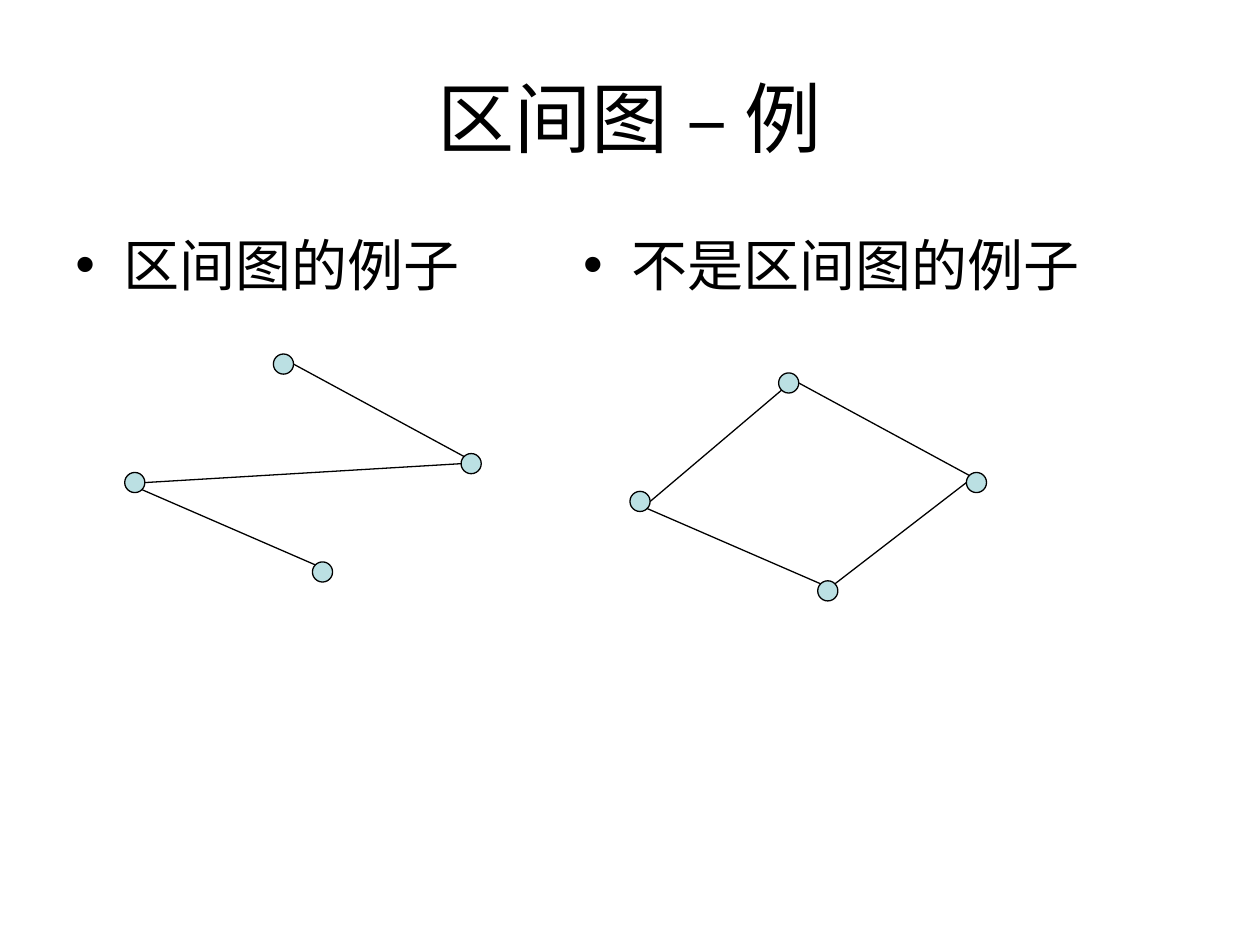
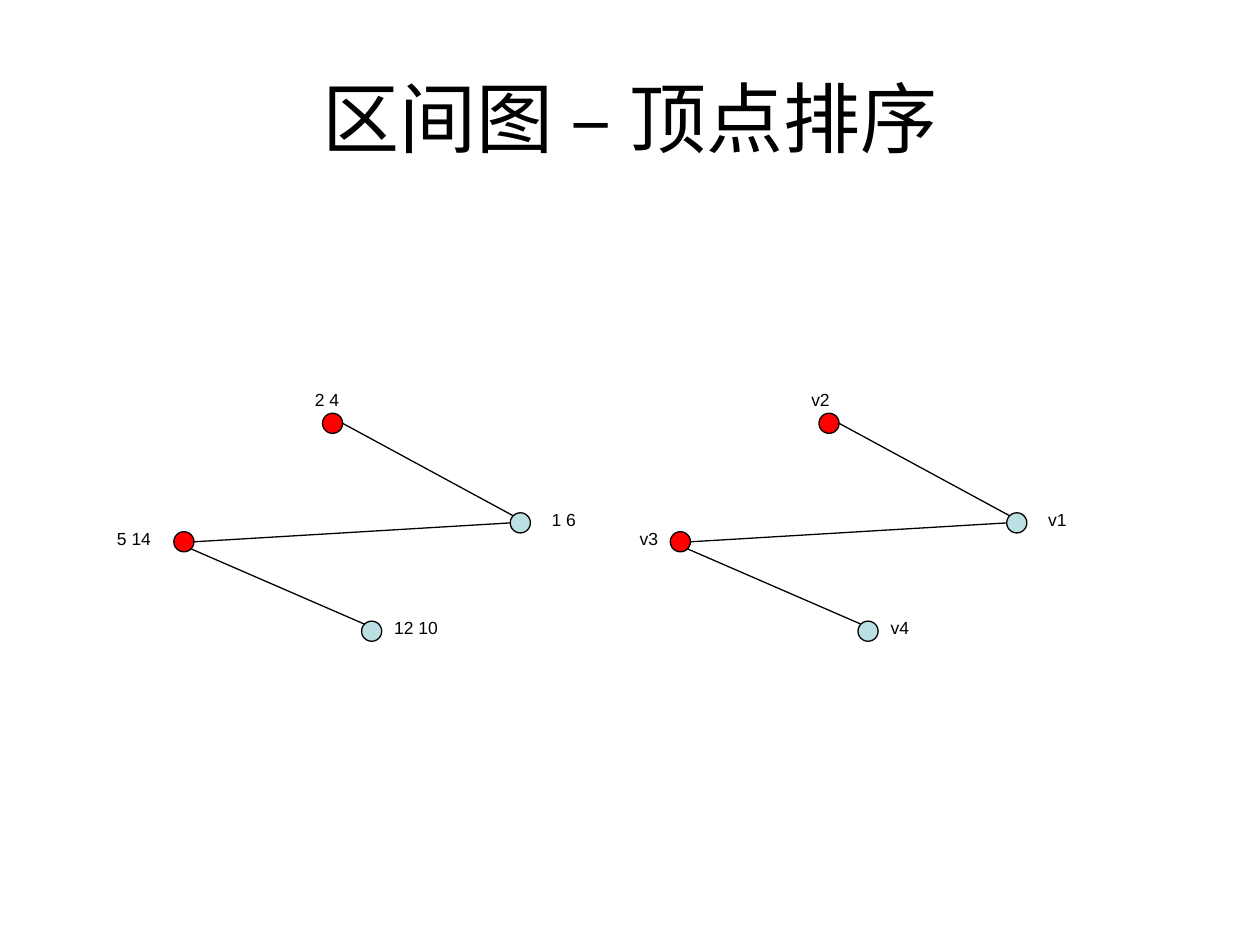
from lxml.etree import SubElement
from pptx import Presentation
from pptx.dml.color import RGBColor
from pptx.enum.shapes import MSO_CONNECTOR, MSO_SHAPE
from pptx.enum.text import MSO_ANCHOR, MSO_AUTO_SIZE, PP_ALIGN
from pptx.oxml.ns import qn
from pptx.util import Inches, Pt

COLORS = {"ink": "000000", "node": "BBE0E3", "marked": "FF0000"}
FONT = "Arial"
NODE = 0.16

NODES = {"top": (0, 0), "left": (-1.18, 0.94), "right": (1.49, 0.79), "bottom": (0.31, 1.65)}
SITES = {"e": (1, 0.5), "w": (0, 0.5), "nw": (0.15, 0.15), "ne": (0.85, 0.15),
         "sw": (0.15, 0.85), "se": (0.85, 0.85)}
SIDES = [("top", "e", "right", "nw"), ("left", "se", "bottom", "nw")]
PATH = SIDES + [("left", "e", "right", "w")]
CYCLE = SIDES + [("top", "sw", "left", "e"), ("right", "w", "bottom", "ne")]

LABEL_BOXES = {"top": (-0.16, -0.24, 0.39), "right": (0.23, -0.08, 0.39),
               "left": (-0.55, -0.08, 0.55), "bottom": (0.16, -0.08, 0.6)}
INTERVALS = {"top": ("2 4", PP_ALIGN.LEFT), "right": ("1 6", PP_ALIGN.LEFT),
             "left": ("5 14", PP_ALIGN.LEFT), "bottom": ("12 10", PP_ALIGN.LEFT)}
ORDER = {"top": ("v2", PP_ALIGN.LEFT), "right": ("v1", PP_ALIGN.LEFT),
         "left": ("v3", PP_ALIGN.RIGHT), "bottom": ("v4", PP_ALIGN.LEFT)}
MARKED = ("top", "left")

SLIDES = [
    {"title": "区间图 – 例",
     "bullets": [("区间图的例子", (0.5, 1.78, 4.11, 4.92)),
                 ("不是区间图的例子", (4.53, 1.78, 4.42, 4.92))],
     "graphs": [{"origin": (2.17, 2.81), "edges": PATH},
                {"origin": (6.18, 2.96), "edges": CYCLE}]},
    {"title": "区间图 – 顶点排序",
     "bullets": [],
     "graphs": [{"origin": (2.56, 3.28), "edges": PATH, "labels": INTERVALS, "marked": MARKED},
                {"origin": (6.5, 3.28), "edges": PATH, "labels": ORDER, "marked": MARKED}]},
]


def color(name):
    return RGBColor.from_string(COLORS[name])


def write(tf, text, size, align=PP_ALIGN.LEFT, before=0):
    tf.word_wrap = True
    p = tf.paragraphs[0]
    for name, value in {"alignment": align, "space_before": Pt(before)}.items():
        setattr(p, name, value)
    r = p.add_run()
    for name, value in {"text": text}.items():
        setattr(r, name, value)
    for name, value in {"name": FONT, "size": Pt(size)}.items():
        setattr(r.font, name, value)
    r.font.color.rgb = color("ink")
    return p


def set_title(s, text):
    sp = s.shapes.title
    for name, value in zip(("left", "top", "width", "height"), (0.5, 0.3, 9, 1.25)):
        setattr(sp, name, Inches(value))
    sp.text_frame.vertical_anchor = MSO_ANCHOR.MIDDLE
    write(sp.text_frame, text, 44, PP_ALIGN.CENTER)


def add_bullet(s, text, box):
    sp = s.shapes.add_textbox(*map(Inches, box))
    pPr = write(sp.text_frame, text, 32, before=8)._p.get_or_add_pPr()
    pPr.set("marL", str(Inches(0.38)))
    pPr.set("indent", str(-Inches(0.38)))
    SubElement(pPr, qn("a:buFont")).set("typeface", FONT)
    SubElement(pPr, qn("a:buChar")).set("char", "•")


def outline(sp):
    sp.line.color.rgb = color("ink")
    sp.line.width = Pt(0.75)


def add_graph(s, origin, edges, labels=None, marked=()):
    shapes = s.shapes.add_group_shape().shapes
    spots = {name: (origin[0] + dx, origin[1] + dy) for name, (dx, dy) in NODES.items()}

    for name, (x, y) in spots.items():
        sp = shapes.add_shape(MSO_SHAPE.OVAL, *map(Inches, (x, y, NODE, NODE)))
        sp.shadow.inherit = False
        sp.fill.solid()
        sp.fill.fore_color.rgb = color("marked" if name in marked else "node")
        outline(sp)

    for start, start_site, end, end_site in edges:
        ends = [spots[node][axis] + NODE * SITES[site][axis]
                for node, site in ((start, start_site), (end, end_site)) for axis in (0, 1)]
        line = shapes.add_connector(MSO_CONNECTOR.STRAIGHT, *map(Inches, ends))
        outline(line)
        SubElement(line._element.spPr, qn("a:effectLst"))

    for name, (text, align) in (labels or {}).items():
        x, y = spots[name]
        dx, dy, width = LABEL_BOXES[name]
        sp = shapes.add_textbox(*map(Inches, (x + dx, y + dy, width, 0.27)))
        sp.text_frame.auto_size = MSO_AUTO_SIZE.SHAPE_TO_FIT_TEXT
        write(sp.text_frame, text, 10, align, before=6.2)


def main():
    prs = Presentation()
    prs.slide_width, prs.slide_height = Inches(10), Inches(7.5)
    for content in SLIDES:
        s = prs.slides.add_slide(prs.slide_layouts[5])
        set_title(s, content["title"])
        for text, box in content["bullets"]:
            add_bullet(s, text, box)
        for graph in content["graphs"]:
            add_graph(s, **graph)
    prs.save("out.pptx")


if __name__ == "__main__":
    main()
